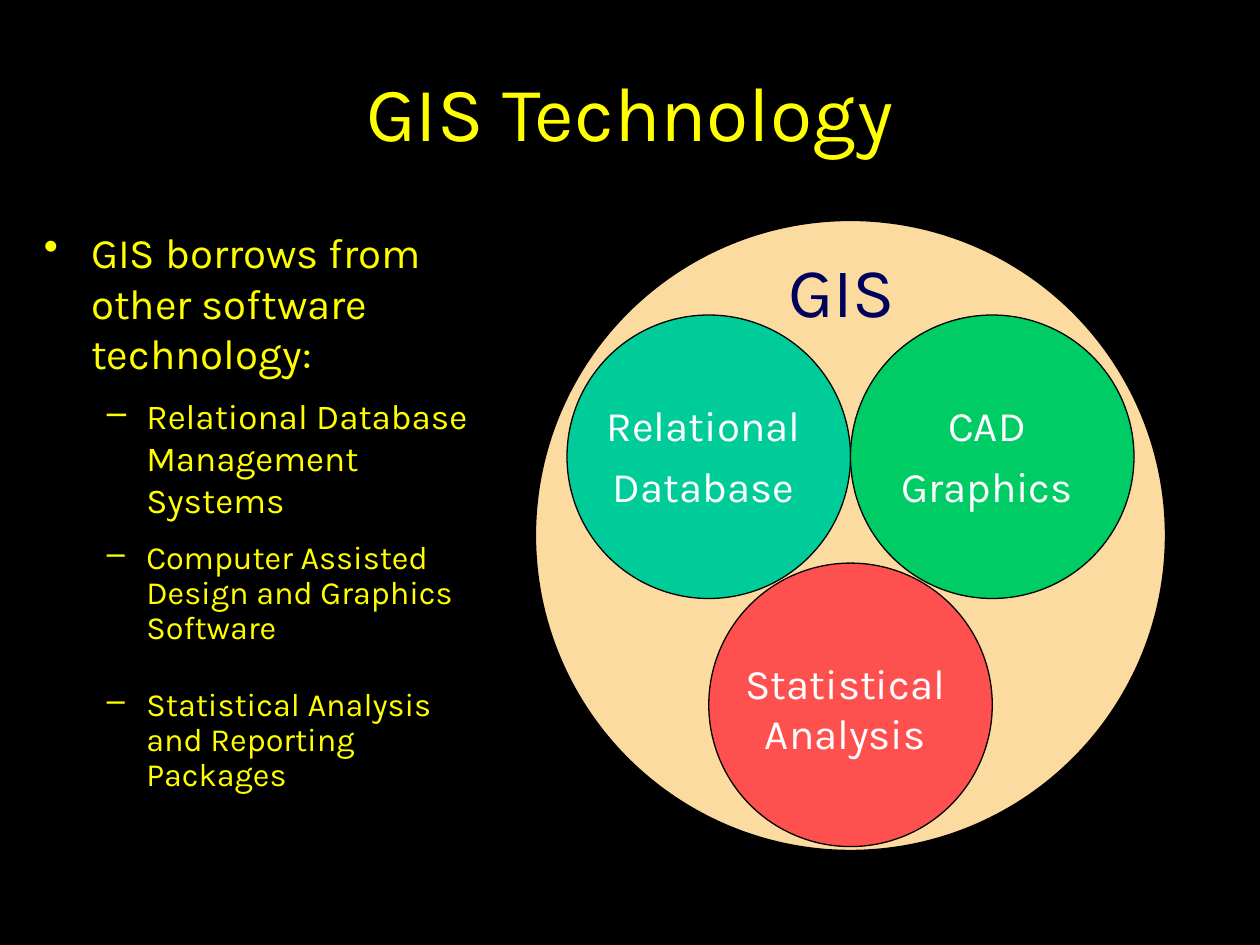
from dataclasses import dataclass

from lxml import etree
from pptx import Presentation
from pptx.dml.color import RGBColor
from pptx.enum.shapes import MSO_SHAPE
from pptx.enum.text import MSO_ANCHOR, PP_ALIGN
from pptx.oxml.ns import qn
from pptx.util import Emu, Pt

ELLIPSE = MSO_SHAPE.OVAL
TOP, MIDDLE = MSO_ANCHOR.TOP, MSO_ANCHOR.MIDDLE
LEFT, CENTER = PP_ALIGN.LEFT, PP_ALIGN.CENTER
EMU_PER_PX = 9525


@dataclass(frozen=True)
class Theme:
    font: str = "Karla"
    background: str = "000000"
    outline: str = "000000"
    accent: str = "FFFF00"
    gis_fill: str = "FCDBA0"
    gis_text: str = "00005C"
    label: str = "FFFFFF"
    database: str = "00CC99"
    cad: str = "00CC66"
    statistics: str = "FF5050"
    title_size: float = 44
    gis_size: float = 40
    body_size: float = 24
    item_size: float = 20
    small_item_size: float = 18.5


def px(length):
    return Emu(length * EMU_PER_PX)


def rgb(color):
    return RGBColor.from_string(color)


class SlideBuilder:
    def __init__(self, slide, theme):
        self.slide = slide
        self.theme = theme
        fill = slide.background.fill
        fill.solid()
        fill.fore_color.rgb = rgb(theme.background)

    def text(self, box, lines, size, color, align=LEFT, anchor=TOP, wrap=True):
        """Add a text box with one paragraph per line and return its paragraphs."""
        frame = self.slide.shapes.add_textbox(*map(px, box)).text_frame
        frame.word_wrap = wrap
        frame.vertical_anchor = anchor
        frame.text = "\n".join(lines)
        for index, paragraph in enumerate(frame.paragraphs):
            paragraph.alignment = align
            paragraph.space_before = Pt(6 if index else 0)
            self.set_font(paragraph, size, color)
        return frame.paragraphs

    def set_font(self, paragraph, size, color):
        font = paragraph.font
        font.name = self.theme.font
        font.size = Pt(size)
        font.color.rgb = rgb(color)

    def bullet(self, box, text, size, mark, indent, hang, level=0, spacing=None):
        frame = self.slide.shapes.add_textbox(*map(px, box)).text_frame
        frame.word_wrap = True
        paragraph = frame.paragraphs[0]
        paragraph.text = text
        paragraph.level = level
        properties = paragraph._p.get_or_add_pPr()
        properties.set("marL", str(px(indent)))
        properties.set("indent", str(px(-hang)))
        mark_color = etree.SubElement(properties, qn("a:buClr"))
        etree.SubElement(mark_color, qn("a:srgbClr"), val=self.theme.accent)
        etree.SubElement(properties, qn("a:buChar"), char=mark)
        paragraph.space_before = Pt(0)
        if spacing:
            paragraph.line_spacing = spacing
        self.set_font(paragraph, size, self.theme.accent)

    def circle(self, left, top, diameter, color):
        circle = self.slide.shapes.add_shape(
            ELLIPSE, *map(px, (left, top, diameter, diameter)))
        circle.shadow.inherit = False
        circle.fill.solid()
        circle.fill.fore_color.rgb = rgb(color)
        circle.line.color.rgb = rgb(self.theme.outline)
        circle.line.width = Pt(0.75)


def main():
    theme = Theme()
    deck = Presentation()
    deck.slide_width, deck.slide_height = px(960), px(720)
    builder = SlideBuilder(deck.slides.add_slide(deck.slide_layouts[6]), theme)

    # Title
    builder.text((32, 24, 896, 120), ["GIS Technology"], theme.title_size,
                 theme.accent, CENTER, MIDDLE)

    # Enclosing GIS circle
    builder.circle(408, 168, 480, theme.gis_fill)
    builder.text((591, 184, 105, 74), ["GIS"], theme.gis_size, theme.gis_text,
                 wrap=False)

    # Technologies inside the GIS circle
    diameter = 216
    left, top = 432, 240
    technologies = [
        (left, top, 60, theme.database, ["Relational", "Database"]),
        (left + diameter, top, 60, theme.cad, ["CAD", "Graphics"]),
        (left + diameter // 2, 429, 67, theme.statistics, ["Statistical Analysis"]),
    ]
    for x, y, label_drop, color, lines in technologies:
        builder.circle(x, y, diameter, color)
        builder.text((x + 13, y + label_drop, 182, 95), lines, theme.body_size,
                     theme.label, CENTER)

    # Borrowed technologies list
    builder.bullet((24, 168, 352, 128), "GIS borrows from other software technology:",
                   theme.body_size, "•", 36, 36)
    borrowed = [
        ("Relational Database Management Systems", theme.item_size, None),
        ("Computer Assisted Design and Graphics Software", theme.small_item_size, 0.9),
        ("Statistical Analysis and Reporting Packages", theme.small_item_size, 0.9),
    ]
    for row, (text, size, spacing) in enumerate(borrowed):
        builder.bullet((24, 296 + 112 * row, 352, 104), text, size, "–", 78, 30,
                       level=1, spacing=spacing)

    deck.save("out.pptx")


if __name__ == "__main__":
    main()
